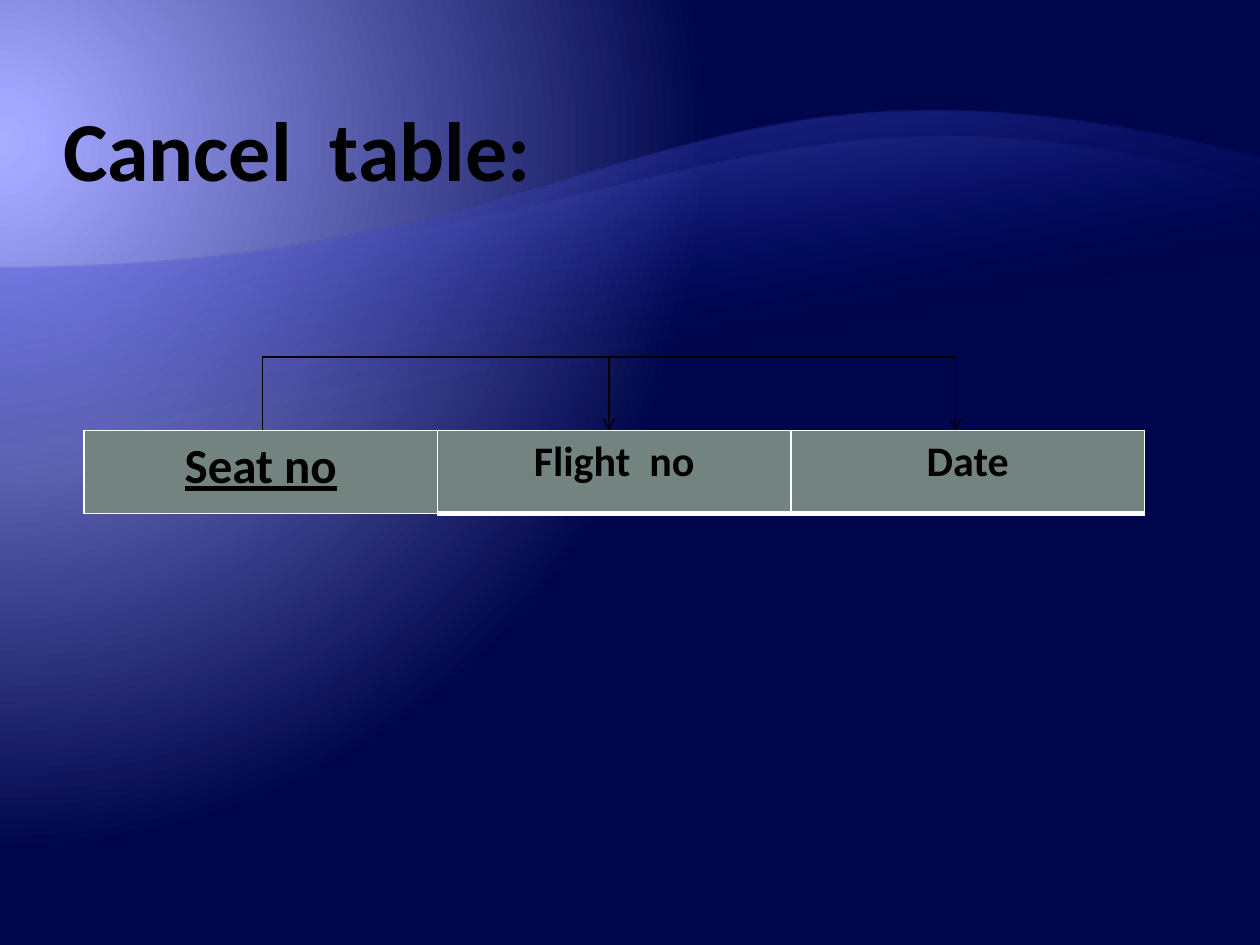
from dataclasses import dataclass

from lxml import etree
from pptx import Presentation
from pptx.dml.color import RGBColor
from pptx.enum.text import MSO_ANCHOR, MSO_AUTO_SIZE, PP_ALIGN
from pptx.oxml import parse_xml
from pptx.oxml.ns import qn
from pptx.util import Pt

BOTTOM = MSO_ANCHOR.BOTTOM
FIXED = MSO_AUTO_SIZE.NONE
LEFT, CENTER = PP_ALIGN.LEFT, PP_ALIGN.CENTER
NS = "http://schemas.openxmlformats.org/drawingml/2006/main"


@dataclass(frozen=True)
class Theme:
    font: str = "Calibri"
    ink: str = "000000"
    cell: str = "738380"
    rule: str = "FFFFFF"
    glow: tuple = ((0, "A8ACFF", 100), (5, "A3A7FF", 100), (90, "00064B", 100))
    back: tuple = ((65, "000D9E", 0), (100, "797FFF", 55))
    front: tuple = ((65, "000D9E", 0), (100, "A3A7FF", 30))
    title: int = 48
    key: int = 28
    field: int = 24


THEME = Theme()


def color(code):
    return RGBColor.from_string(code)


def set_grad(fill, props, stops, shade):
    """Fill with (position, colour, opacity) stops, all in percent."""
    fill.solid()
    marks = "".join(
        f'<a:gs pos="{pos * 1000}"><a:srgbClr val="{code}">'
        f'<a:alpha val="{alpha * 1000}"/></a:srgbClr></a:gs>'
        for pos, code, alpha in stops)
    grad = parse_xml(f'<a:gradFill xmlns:a="{NS}" rotWithShape="1">'
                     f'<a:gsLst>{marks}</a:gsLst>{shade}</a:gradFill>')
    props.replace(props.find(qn("a:solidFill")), grad)


def add_glow(slide):
    fill = slide.background.fill
    fill.solid()
    props = slide.element.find(".//" + qn("p:bgPr"))
    shade = ('<a:path path="circle"><a:fillToRect l="20000" t="30000" '
             'r="135000" b="100000"/></a:path>')
    set_grad(fill, props, THEME.glow, shade)


def curve(ends, steps=60):
    """Points along a cubic Bezier curve."""
    for i in range(steps + 1):
        t = i / steps
        parts = ((1 - t) ** 3, 3 * t * (1 - t) ** 2, 3 * t * t * (1 - t), t ** 3)
        yield tuple(Pt(sum(w * p[k] for w, p in zip(parts, ends)))
                    for k in (0, 1))


def add_wave(slide, ends, base, stops):
    crest = list(curve(ends))
    build = slide.shapes.build_freeform(*crest[0])
    build.add_line_segments(crest[1:] + [(Pt(720), Pt(base)), (0, Pt(base))])
    wave = build.convert_to_shape()
    wave.shadow.inherit = False
    wave.line.fill.background()
    shade = f'<a:lin ang="{260 * 60000}" scaled="0"/>'
    set_grad(wave.fill, wave.element.spPr, stops, shade)


def style(para, size, align):
    para.alignment = align
    for run in para.runs:
        font = run.font
        font.name, font.size, font.bold = THEME.font, Pt(size), True
        font.color.rgb = color(THEME.ink)


def set_title(slide, text):
    title = slide.shapes.title
    title.left, title.top, title.width, title.height = map(Pt, (36, 30, 606, 84))
    frame = title.text_frame
    frame.text = text
    frame.auto_size, frame.vertical_anchor = FIXED, BOTTOM
    frame.margin_left = frame.margin_right = 0
    frame.margin_top = frame.margin_bottom = Pt(0.72)
    style(frame.paragraphs[0], THEME.title, LEFT)


def set_edges(cell, base):
    """Rule all four sides, the bottom one base points wide."""
    props = cell._tc.get_or_add_tcPr()
    sides = (("lnL", 1), ("lnR", 1), ("lnT", 1), ("lnB", base))
    for i, (side, width) in enumerate(sides):
        line = etree.Element(qn("a:" + side), w=str(Pt(width)))
        fill = etree.SubElement(line, qn("a:solidFill"))
        etree.SubElement(fill, qn("a:srgbClr"), val=THEME.rule)
        props.insert(i, line)


def add_fields(slide, names, left, top, width, height):
    table = slide.shapes.add_table(
        1, len(names), *map(Pt, (left, top, width, height))).table
    for i, name in enumerate(names):
        cell, key = table.cell(0, i), i == 0
        cell.text = name
        cell.fill.solid()
        cell.fill.fore_color.rgb = color(THEME.cell)
        set_edges(cell, 1 if key else 3)
        para = cell.text_frame.paragraphs[0]
        style(para, THEME.key if key else THEME.field, CENTER)
        para.runs[0].font.underline = key


def add_line(slide, start, end, arrow=False):
    line = slide.shapes.add_connector(1, *map(Pt, start + end))
    line.line.color.rgb = color(THEME.ink)
    line.line.width = Pt(0.75)
    if arrow:
        etree.SubElement(line.line._get_or_add_ln(), qn("a:tailEnd"), type="arrow")
    etree.SubElement(line.element.spPr, qn("a:effectLst"))


def add_links(slide, key, fields, bar, top):
    """Join the key column to each field that depends on it."""
    add_line(slide, (key, bar), (fields[-1], bar))
    for x in fields:
        add_line(slide, (x, bar), (x, top), arrow=True)
    add_line(slide, (key, top), (key, bar))


def main():
    deck = Presentation()
    deck.slide_width, deck.slide_height = Pt(720), Pt(540)
    slide = deck.slides.add_slide(deck.slide_layouts[5])
    add_glow(slide)
    add_wave(slide, ((0, 153), (360, 153), (384.5, 3.6), (720, 90)),
             528, THEME.back)
    add_wave(slide, ((0, 153), (360, 153), (430.5, 22.3), (720, 106)),
             459, THEME.front)
    set_title(slide, "Cancel  table:")
    top = 246
    add_fields(slide, ("Seat no", "Flight  no", "Date"), 48, top, 606, 47.5)
    add_links(slide, 150, (348, 546), 204, top)
    deck.save("out.pptx")


if __name__ == "__main__":
    main()
